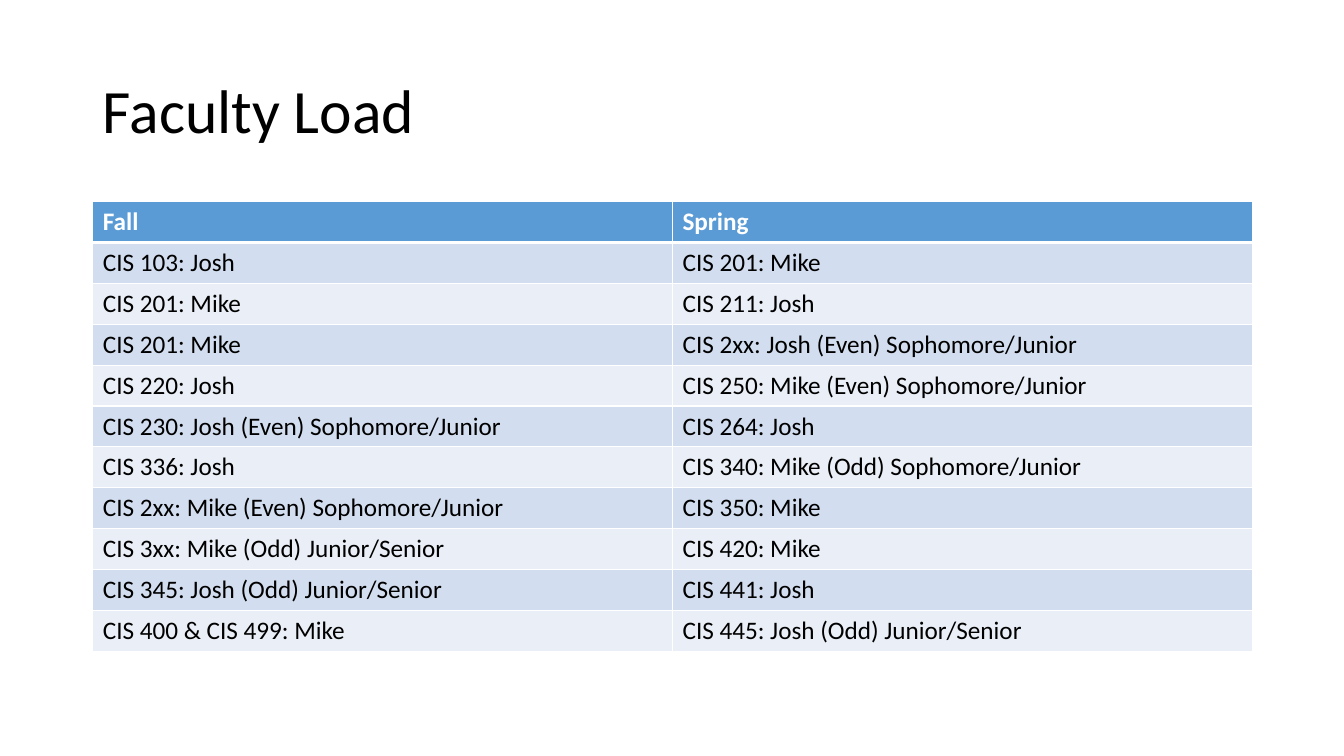
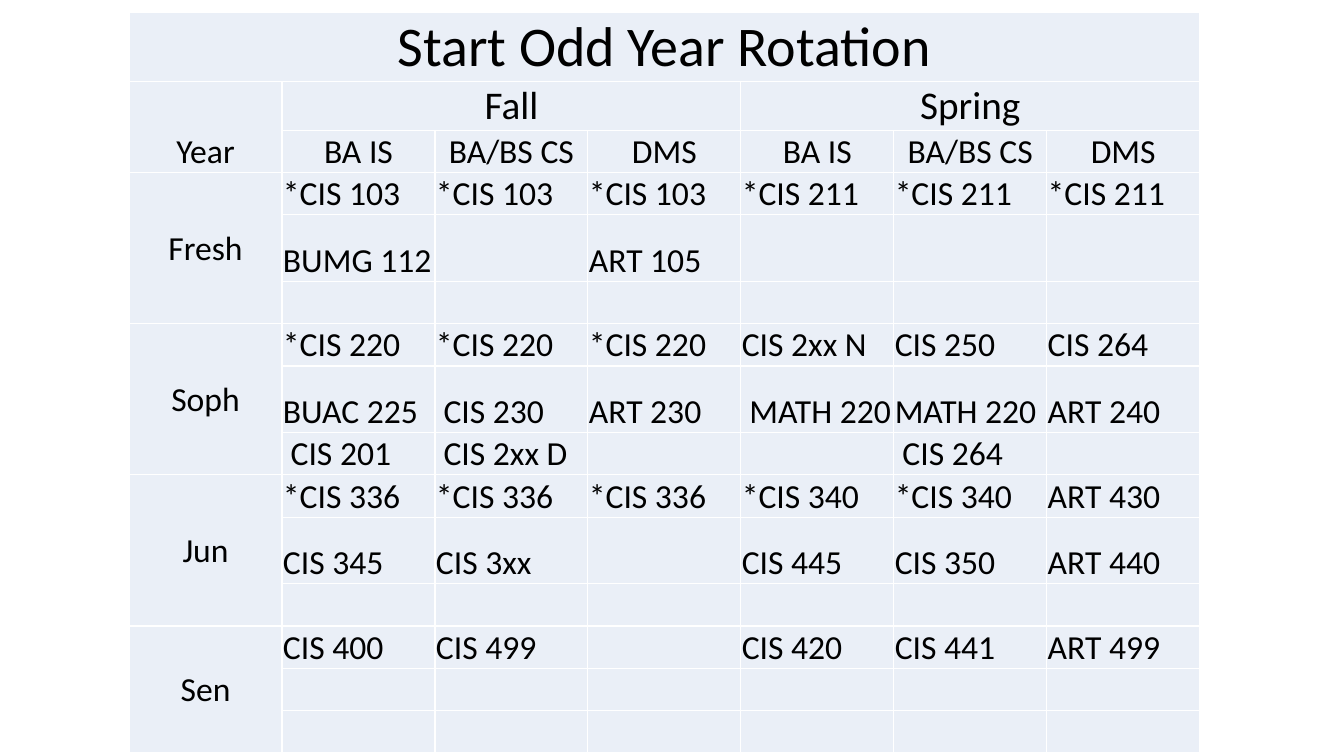
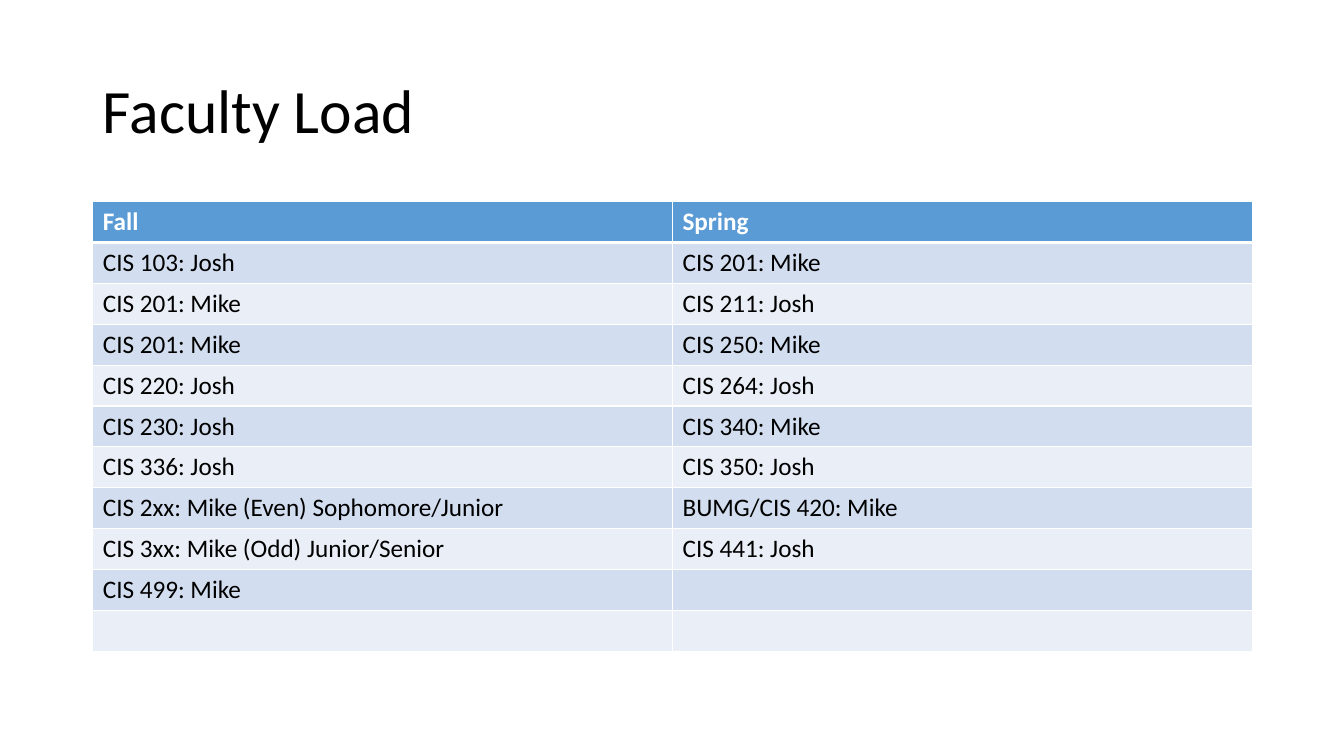
from dataclasses import dataclass
from itertools import zip_longest

from pptx import Presentation
from pptx.dml.color import RGBColor
from pptx.enum.text import MSO_ANCHOR, MSO_AUTO_SIZE, PP_ALIGN
from pptx.oxml.ns import qn
from pptx.util import Inches, Pt
from lxml.etree import SubElement


@dataclass(frozen=True)
class Theme:
    font: str = "Calibri"
    text: str = "000000"
    white: str = "FFFFFF"
    header: str = "5B9BD5"
    band_dark: str = "D2DEEF"
    band_light: str = "EAEFF7"
    title_size: int = 44
    load_size: int = 18
    rotation_title_size: int = 40
    term_size: int = 28
    course_size: int = 24
    border: int = 1
    header_border: int = 3


THEME = Theme()
TITLE_LAYOUT, BLANK_LAYOUT = 5, 6

FIRST_FALL = [
    "CIS 103: Josh", "CIS 201: Mike", "CIS 201: Mike", "CIS 220: Josh",
    "CIS 230: Josh (Even) Sophomore/Junior", "CIS 336: Josh",
    "CIS 2xx: Mike (Even) Sophomore/Junior", "CIS 3xx: Mike (Odd) Junior/Senior",
    "CIS 345: Josh (Odd) Junior/Senior", "CIS 400 & CIS 499: Mike",
]
FIRST_SPRING = [
    "CIS 201: Mike", "CIS 211: Josh", "CIS 2xx: Josh (Even) Sophomore/Junior",
    "CIS 250: Mike (Even) Sophomore/Junior", "CIS 264: Josh",
    "CIS 340: Mike (Odd) Sophomore/Junior", "CIS 350: Mike", "CIS 420: Mike",
    "CIS 441: Josh", "CIS 445: Josh (Odd) Junior/Senior",
]
SECOND_FALL = [
    "CIS 103: Josh", "CIS 201: Mike", "CIS 201: Mike", "CIS 220: Josh",
    "CIS 230: Josh", "CIS 336: Josh", "CIS 2xx: Mike (Even) Sophomore/Junior",
    "CIS 3xx: Mike (Odd) Junior/Senior", "CIS 499: Mike", "",
]
SECOND_SPRING = [
    "CIS 201: Mike", "CIS 211: Josh", "CIS 250: Mike", "CIS 264: Josh",
    "CIS 340: Mike", "CIS 350: Josh", "BUMG/CIS 420: Mike", "CIS 441: Josh",
]

PROGRAMS = ["BA IS", "BA/BS CS", "DMS"]
NO_COURSES = [""] * 6
YEARS = {
    "Fresh": [
        ["*CIS 103"] * 3 + ["*CIS 211"] * 3,
        ["BUMG 112", "", "ART 105", "", "", ""],
        NO_COURSES,
    ],
    "Soph": [
        ["*CIS 220"] * 3 + ["CIS 2xx N", "CIS 250", "CIS 264"],
        ["BUAC 225", " CIS 230", "ART 230", " MATH 220", "MATH 220", "ART 240"],
        [" CIS 201", " CIS 2xx D", "", "", " CIS 264", ""],
    ],
    "Jun": [
        ["*CIS 336"] * 3 + ["*CIS 340"] * 2 + ["ART 430"],
        ["CIS 345", "CIS 3xx", "", "CIS 445", "CIS 350", "ART 440"],
        NO_COURSES,
    ],
    "Sen": [
        ["CIS 400", "CIS 499", "", "CIS 420", "CIS 441", "ART 499"],
        NO_COURSES,
        NO_COURSES,
    ],
}
ROTATION_HEIGHTS = [0.68, 0.48, 0.42] + [0.42, 0.66, 0.42] * 3 + [0.42] * 3


def set_values(target, values):
    for name, value in values.items():
        setattr(target, name, value)


def style_font(font, size, color=THEME.text, bold=False):
    set_values(font, {"name": THEME.font, "size": Pt(size), "bold": bold})
    font.color.rgb = RGBColor.from_string(color)


def add_title(page, text):
    title = page.shapes.title
    set_values(title, {"left": Inches(0.92), "top": Inches(0.4),
                       "width": Inches(11.5), "height": Inches(1.45)})
    set_values(title.text_frame, {"text": text, "word_wrap": True,
                                  "auto_size": MSO_AUTO_SIZE.NONE,
                                  "vertical_anchor": MSO_ANCHOR.MIDDLE})
    para = title.text_frame.paragraphs[0]
    set_values(para, {"alignment": PP_ALIGN.LEFT, "line_spacing": 0.9})
    style_font(para.runs[0].font, THEME.title_size)


def add_plain_table(page, left, top, width, column_count, heights):
    """Add a table with equal columns and no automatic header or banding."""
    frame = page.shapes.add_table(len(heights), column_count, Inches(left), Inches(top),
                                  Inches(width), Inches(sum(heights)))
    table = frame.table
    set_values(table, {"first_row": False, "horz_banding": False})
    for column in table.columns:
        column.width = Inches(width / column_count)
    for row, height in zip(table.rows, heights):
        row.height = Inches(height)
    return table


def paint_cell(cell, fill, top=THEME.border, bottom=THEME.border):
    """Draw the white borders, then the fill, as the schema orders them."""
    properties = cell._tc.get_or_add_tcPr()
    widths = {"a:lnL": THEME.border, "a:lnR": THEME.border, "a:lnT": top, "a:lnB": bottom}
    for tag, width in widths.items():
        line = SubElement(properties, qn(tag), w=str(Pt(width)))
        line_fill = SubElement(line, qn("a:solidFill"))
        SubElement(line_fill, qn("a:srgbClr"), val=THEME.white)
    cell.fill.solid()
    cell.fill.fore_color.rgb = RGBColor.from_string(fill)


def write_cell(cell, text, size, color=THEME.text, bold=False, align=PP_ALIGN.LEFT):
    para = cell.text_frame.paragraphs[0]
    para.alignment = align
    if text:
        span = para.add_run()
        span.text = text
        style_font(span.font, size, color, bold)
    else:
        SubElement(para._p, qn("a:endParaRPr"), sz=str(size * 100))


def add_load_slide(deck, fall, spring):
    page = deck.slides.add_slide(deck.slide_layouts[TITLE_LAYOUT])
    add_title(page, "Faculty Load")
    rows = [("Fall", "Spring"), *zip_longest(fall, spring, fillvalue="")]
    table = add_plain_table(page, 0.92, 2, 11.5, 2, [4.46 / len(rows)] * len(rows))
    for index, texts in enumerate(rows):
        is_header = index == 0
        band = THEME.band_dark if index % 2 else THEME.band_light
        for column, text in enumerate(texts):
            cell = table.cell(index, column)
            paint_cell(cell, THEME.header if is_header else band,
                       top=THEME.header_border if index == 1 else THEME.border,
                       bottom=THEME.header_border if is_header else THEME.border)
            write_cell(cell, text, THEME.load_size,
                       THEME.white if is_header else THEME.text, is_header)


def add_rotation_slide(deck):
    page = deck.slides.add_slide(deck.slide_layouts[BLANK_LAYOUT])
    table = add_plain_table(page, 1.28, 0.12, 10.62, 7, ROTATION_HEIGHTS)
    for cell in table.iter_cells():
        paint_cell(cell, THEME.band_light)
        set_values(cell, {"margin_left": Inches(0.01), "margin_right": Inches(0.01),
                          "margin_top": Inches(0.01), "margin_bottom": 0,
                          "vertical_anchor": MSO_ANCHOR.BOTTOM})

    def write_heading(row, column, text, size, rows=1, columns=1):
        cell = table.cell(row, column)
        if rows * columns > 1:
            cell.merge(table.cell(row + rows - 1, column + columns - 1))
        write_cell(cell, text, size, align=PP_ALIGN.CENTER)
        return cell

    write_heading(0, 0, "Start Odd Year Rotation", THEME.rotation_title_size, columns=7)
    write_heading(1, 0, "Year", THEME.course_size, rows=2)
    for term, column in (("Fall", 1), ("Spring", 4)):
        write_heading(1, column, term, THEME.term_size, columns=3)
        for offset, program in enumerate(PROGRAMS):
            write_heading(2, column + offset, program, THEME.course_size)
    for index, (year, course_rows) in enumerate(YEARS.items()):
        first_row = 3 + 3 * index
        year_cell = write_heading(first_row, 0, year, THEME.course_size, rows=3)
        year_cell.vertical_anchor = MSO_ANCHOR.MIDDLE
        for row, courses in enumerate(course_rows, first_row):
            for column, course in enumerate(courses, 1):
                write_cell(table.cell(row, column), course, THEME.course_size)


def main():
    deck = Presentation()
    set_values(deck, {"slide_width": Inches(13.33), "slide_height": Inches(7.5)})
    add_load_slide(deck, FIRST_FALL, FIRST_SPRING)
    add_rotation_slide(deck)
    add_load_slide(deck, SECOND_FALL, SECOND_SPRING)
    deck.save("out.pptx")


if __name__ == "__main__":
    main()
